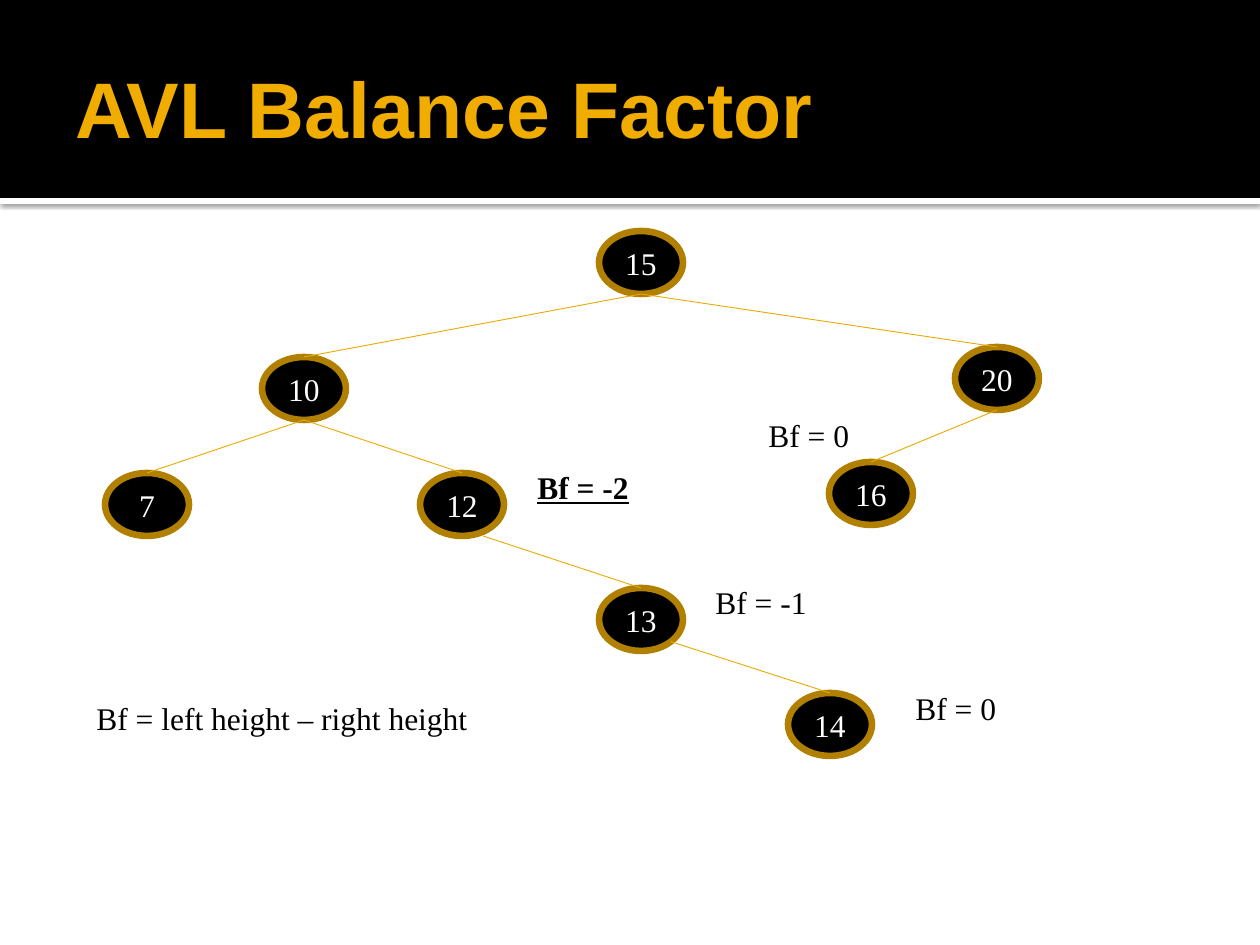
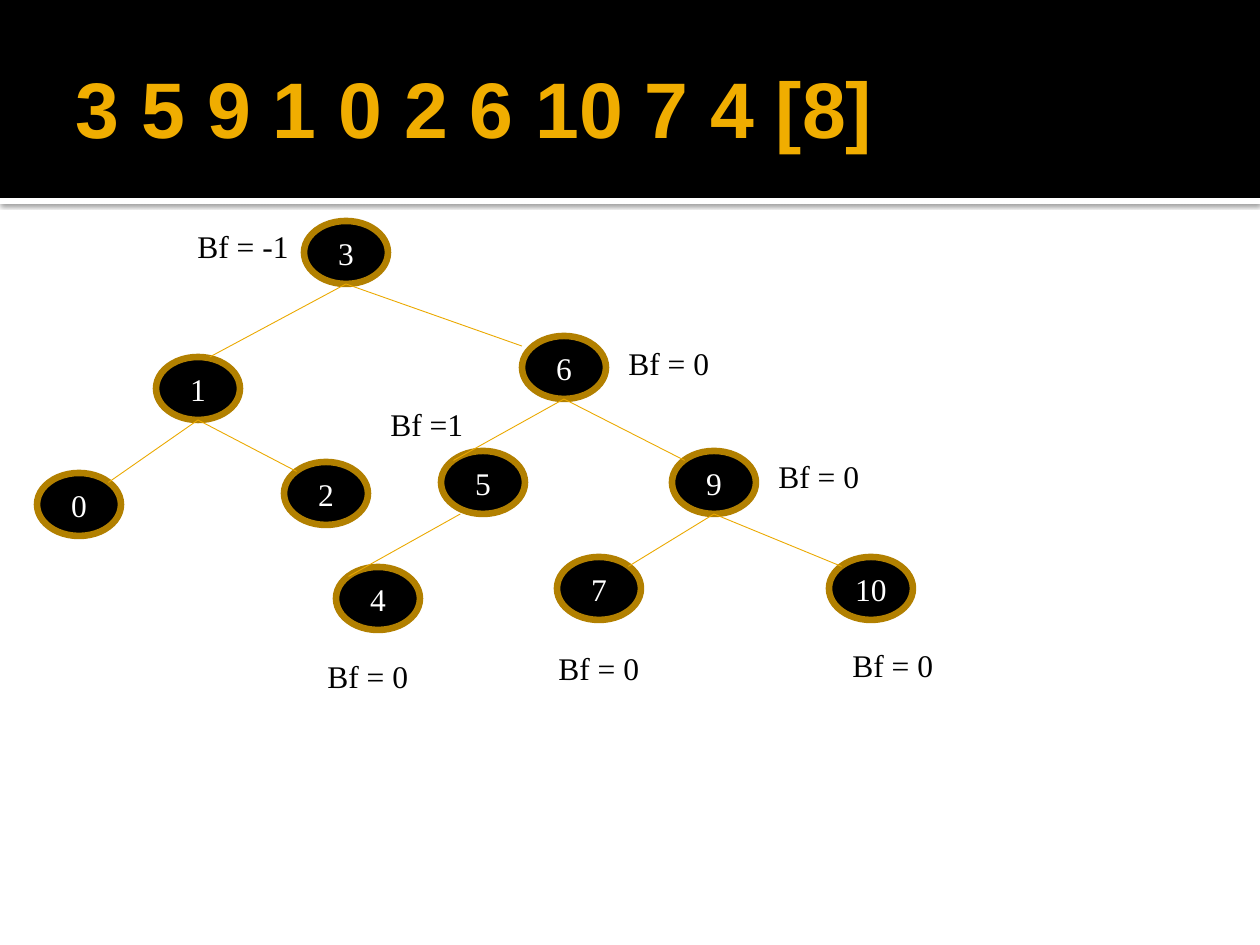
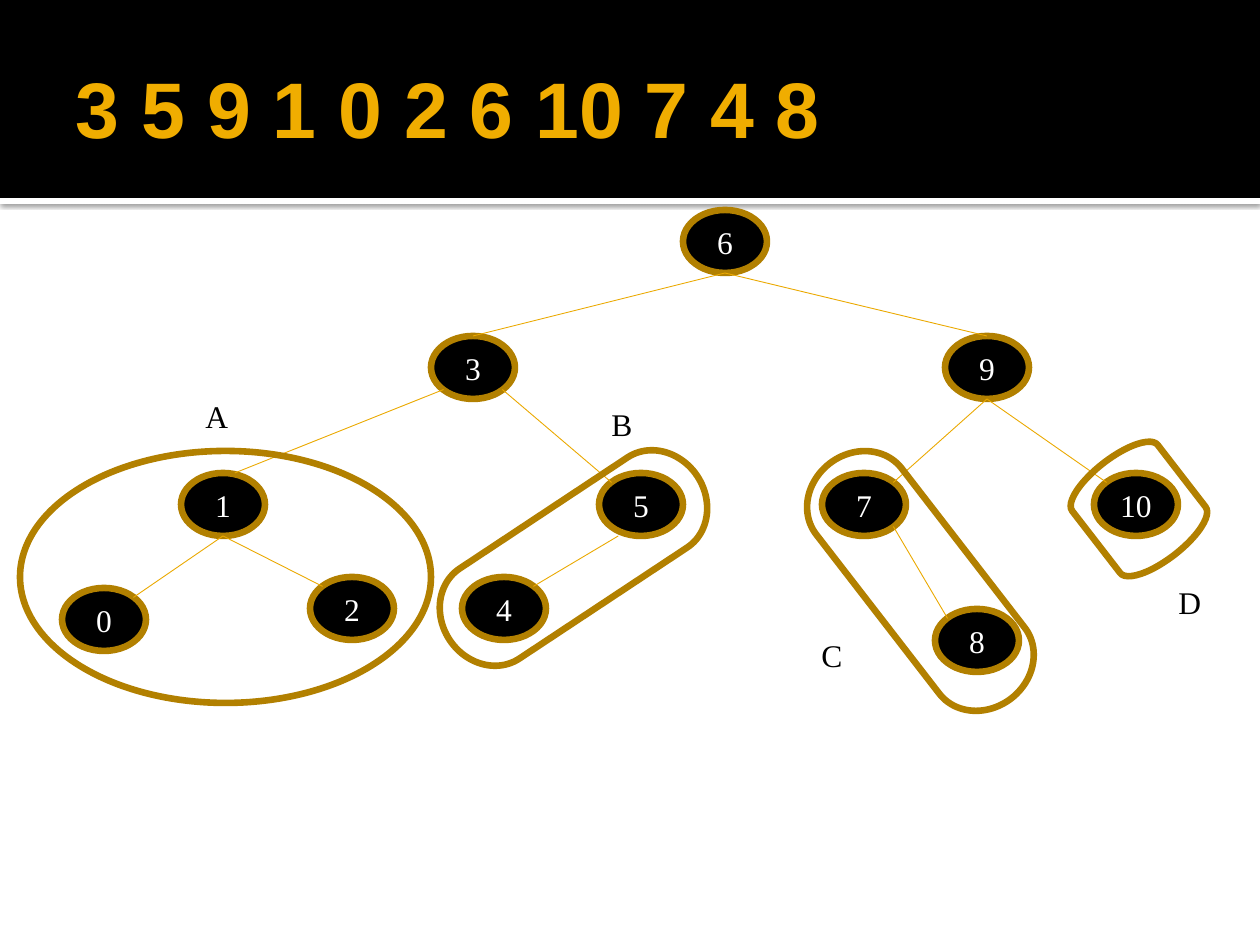
from collections import namedtuple
from dataclasses import dataclass

from lxml import etree
from pptx import Presentation
from pptx.dml.color import RGBColor
from pptx.enum.shapes import MSO_CONNECTOR, MSO_SHAPE
from pptx.enum.text import MSO_ANCHOR, MSO_AUTO_SIZE, PP_ALIGN
from pptx.oxml.ns import qn
from pptx.util import Emu, Pt

RECTANGLE, ELLIPSE = MSO_SHAPE.RECTANGLE, MSO_SHAPE.OVAL
CAPSULE = MSO_SHAPE.FLOWCHART_TERMINATOR
STRAIGHT = MSO_CONNECTOR.STRAIGHT
TOP, MIDDLE = MSO_ANCHOR.TOP, MSO_ANCHOR.MIDDLE
LEFT, CENTER = PP_ALIGN.LEFT, PP_ALIGN.CENTER
FIT_TEXT = MSO_AUTO_SIZE.SHAPE_TO_FIT_TEXT

EMU_PER_PX = 914400 // 126
Box = namedtuple("Box", "left top width height")


@dataclass(frozen=True)
class Theme:
    black: str = "000000"
    white: str = "FFFFFF"
    title: str = "F0AD00"
    edge: str = "EBA900"
    outline: str = "B28000"
    title_font: str = "Arial"
    body_font: str = "Times New Roman"
    title_size: int = 45
    body_size: int = 18
    edge_width: float = 0.5
    outline_width: float = 3.78


THEME = Theme()
SLIDE = Box(0, 0, 1260, 945)
BAND = Box(0, 0, 1260, 198)
STRIPE = Box(0, 198, 1260, 6)
TITLE = Box(63, 21, 1134, 173)
BODY = Box(0, 204, 1260, 741)
NODE_WIDTH, NODE_HEIGHT = 84, 63
LABEL_HEIGHT = 50

# Edge ends, as fractions of a node's width and height
PORTS = {
    "top": (0.5, 0), "bottom": (0.5, 1),
    "top left": (0.15, 0.15), "top right": (0.85, 0.15),
    "bottom left": (0.15, 0.85), "bottom right": (0.85, 0.85),
    "left shoulder": (0, 0.16), "right of top": (0.64, 0),
    "left of bottom": (0.23, 1), "right of bottom": (0.75, 1),
}

# Nodes: value -> (left, top). Edges: parent, its port, child, its port.
# Labels: text, left, top, width. Groups: shape, box, rotation.
BALANCE_FACTOR = dict(
    nodes={"15": (599, 27), "10": (262, 153), "20": (955, 143), "7": (105, 269),
           "12": (420, 269), "16": (829, 258), "13": (599, 384), "14": (788, 489)},
    edges=[("15", "bottom", "10", "top"), ("15", "bottom", "20", "top"),
           ("10", "bottom", "7", "top"), ("10", "bottom", "12", "top"),
           ("20", "bottom", "16", "top"), ("12", "right of bottom", "13", "top"),
           ("13", "bottom right", "14", "top")],
    labels=[("Bf = 0", 903, 479, 107), ("Bf = -1", 703, 373, 117),
            ("Bf = 0", 756, 206, 107),
            ("Bf = left height – right height", 84, 489, 401)],
    key_labels=[("Bf = -2", 525, 258, 117)],
)
BEFORE_INSERT = dict(
    nodes={"6": (522, 132), "9": (672, 247), "3": (304, 17), "0": (37, 269),
           "1": (156, 153), "2": (284, 258), "5": (441, 247), "10": (829, 353),
           "7": (557, 353), "4": (336, 363)},
    edges=[("3", "bottom", "1", "right of top"), ("3", "bottom", "6", "left shoulder"),
           ("1", "bottom", "0", "top right"), ("1", "bottom", "2", "top left"),
           ("6", "bottom", "5", "top left"), ("6", "bottom", "9", "top left"),
           ("5", "left of bottom", "4", "top left"),
           ("9", "bottom", "7", "top right"), ("9", "bottom", "10", "top left")],
    labels=[("Bf = -1", 185, 17, 117), ("Bf = 0", 616, 134, 107),
            ("Bf = 0", 766, 247, 107), ("Bf = 0", 315, 447, 107),
            ("Bf = 0", 840, 436, 107), ("Bf = 0", 546, 439, 107),
            ("Bf =1", 378, 195, 100)],
)
AFTER_INSERT = dict(
    nodes={"9": (945, 132), "6": (683, 6), "3": (431, 132), "0": (62, 384),
           "1": (181, 269), "2": (310, 373), "5": (599, 269), "4": (462, 373),
           "10": (1094, 269), "7": (822, 269), "8": (935, 405)},
    edges=[("6", "bottom", "3", "top"), ("6", "bottom", "9", "top"),
           ("3", "bottom left", "1", "right of top"),
           ("3", "bottom right", "5", "top left"),
           ("1", "bottom", "0", "top right"), ("1", "bottom", "2", "top left"),
           ("5", "left of bottom", "4", "top right"),
           ("9", "bottom", "7", "top right"), ("9", "bottom", "10", "top left"),
           ("7", "bottom right", "8", "top left")],
    labels=[("A", 193, 187, 48), ("B", 599, 195, 47),
            ("C", 809, 426, 47), ("D", 1166, 373, 47)],
    groups=[(ELLIPSE, Box(20, 247, 411, 252), 0),
            (CAPSULE, Box(425, 300, 297, 108), 326.5),
            (CAPSULE, Box(772, 323, 297, 108), 52.3),
            (CAPSULE, Box(1081, 251, 116, 108), 52.3)],
)
SLIDES = [("AVL Balance Factor", BALANCE_FACTOR),
          ("3 5 9 1 0 2 6 10 7 4 [8]", BEFORE_INSERT),
          ("3 5 9 1 0 2 6 10 7 4 8", AFTER_INSERT)]


def px(length):
    return Emu(round(length * EMU_PER_PX))


def emu(box):
    return [px(length) for length in box]


def inside(region, left, top, width, height):
    return Box(region.left + left, region.top + top, width, height)


def write(frame, text, color=THEME.black, font=THEME.body_font, size=THEME.body_size,
          bold=False, underline=False, align=LEFT, anchor=TOP):
    frame.vertical_anchor = anchor
    paragraph = frame.paragraphs[0]
    paragraph.alignment = align
    run = paragraph.add_run()
    run.text = text
    run.font.name, run.font.size = font, Pt(size)
    run.font.bold, run.font.underline = bold, underline
    run.font.color.rgb = RGBColor.from_string(color)


def add_figure(slide, preset, box, fill=None, line=None):
    figure = slide.shapes.add_shape(preset, *emu(box))
    figure.shadow.inherit = False
    if fill:
        figure.fill.solid()
        figure.fill.fore_color.rgb = RGBColor.from_string(fill)
    else:
        figure.fill.background()
    if line:
        figure.line.color.rgb = RGBColor.from_string(line)
        figure.line.width = Pt(THEME.outline_width)
    else:
        figure.line.fill.background()
    return figure


def cast_shadow(figure):
    """Give the figure a soft, 60 % black shadow straight below it."""
    effects = figure.element.spPr.find(qn("a:effectLst"))
    shadow = etree.SubElement(effects, qn("a:outerShdw"), blurRad=str(Pt(2.5)),
                              dist=str(Pt(0.8)), dir="5400000", rotWithShape="0")
    color = etree.SubElement(shadow, qn("a:srgbClr"), val=THEME.black)
    etree.SubElement(color, qn("a:alpha"), val="60000")


def add_header(slide, title):
    cast_shadow(add_figure(slide, RECTANGLE, STRIPE, fill=THEME.white))
    add_figure(slide, RECTANGLE, BAND, fill=THEME.black)
    frame = slide.shapes.add_textbox(*emu(TITLE)).text_frame
    frame.word_wrap = True
    frame.margin_left = px(13)
    frame.margin_top = frame.margin_right = frame.margin_bottom = px(6)
    write(frame, title, color=THEME.title, font=THEME.title_font,
          size=THEME.title_size, bold=True, anchor=MIDDLE)


def add_node(slide, box, value):
    node = add_figure(slide, ELLIPSE, box, fill=THEME.black, line=THEME.outline)
    write(node.text_frame, value, color=THEME.white, align=CENTER, anchor=MIDDLE)
    return node


def port_point(node, port):
    across, down = PORTS[port]
    return (Emu(round(node.left + across * node.width)),
            Emu(round(node.top + down * node.height)))


def add_edge(slide, parent, parent_port, child, child_port):
    edge = slide.shapes.add_connector(STRAIGHT, *port_point(parent, parent_port),
                                      *port_point(child, child_port))
    if child_port == "top":
        edge.end_connect(child, 0)
    edge.line.color.rgb = RGBColor.from_string(THEME.edge)
    edge.line.width = Pt(THEME.edge_width)
    etree.SubElement(edge.element.spPr, qn("a:effectLst"))


def add_label(slide, box, text, **style):
    label = slide.shapes.add_textbox(*emu(box))
    label.text_frame.word_wrap = False
    label.text_frame.auto_size = FIT_TEXT
    write(label.text_frame, text, **style)


def add_tree(slide, region, nodes, edges, labels, key_labels=(), groups=()):
    placed = {value: add_node(slide, inside(region, *corner, NODE_WIDTH, NODE_HEIGHT), value)
              for value, corner in nodes.items()}
    for parent, parent_port, child, child_port in edges:
        add_edge(slide, placed[parent], parent_port, placed[child], child_port)
    for preset, box, rotation in groups:
        group = add_figure(slide, preset, inside(region, *box), line=THEME.outline)
        group.rotation = rotation
    for entries, style in ((labels, {}), (key_labels, dict(bold=True, underline=True))):
        for text, left, top, width in entries:
            add_label(slide, inside(region, left, top, width, LABEL_HEIGHT), text, **style)


def main():
    deck = Presentation()
    deck.slide_width, deck.slide_height = px(SLIDE.width), px(SLIDE.height)
    blank = deck.slide_layouts[6]
    for title, tree in SLIDES:
        slide = deck.slides.add_slide(blank)
        add_header(slide, title)
        add_tree(slide, BODY, **tree)
    deck.save("out.pptx")


if __name__ == "__main__":
    main()
